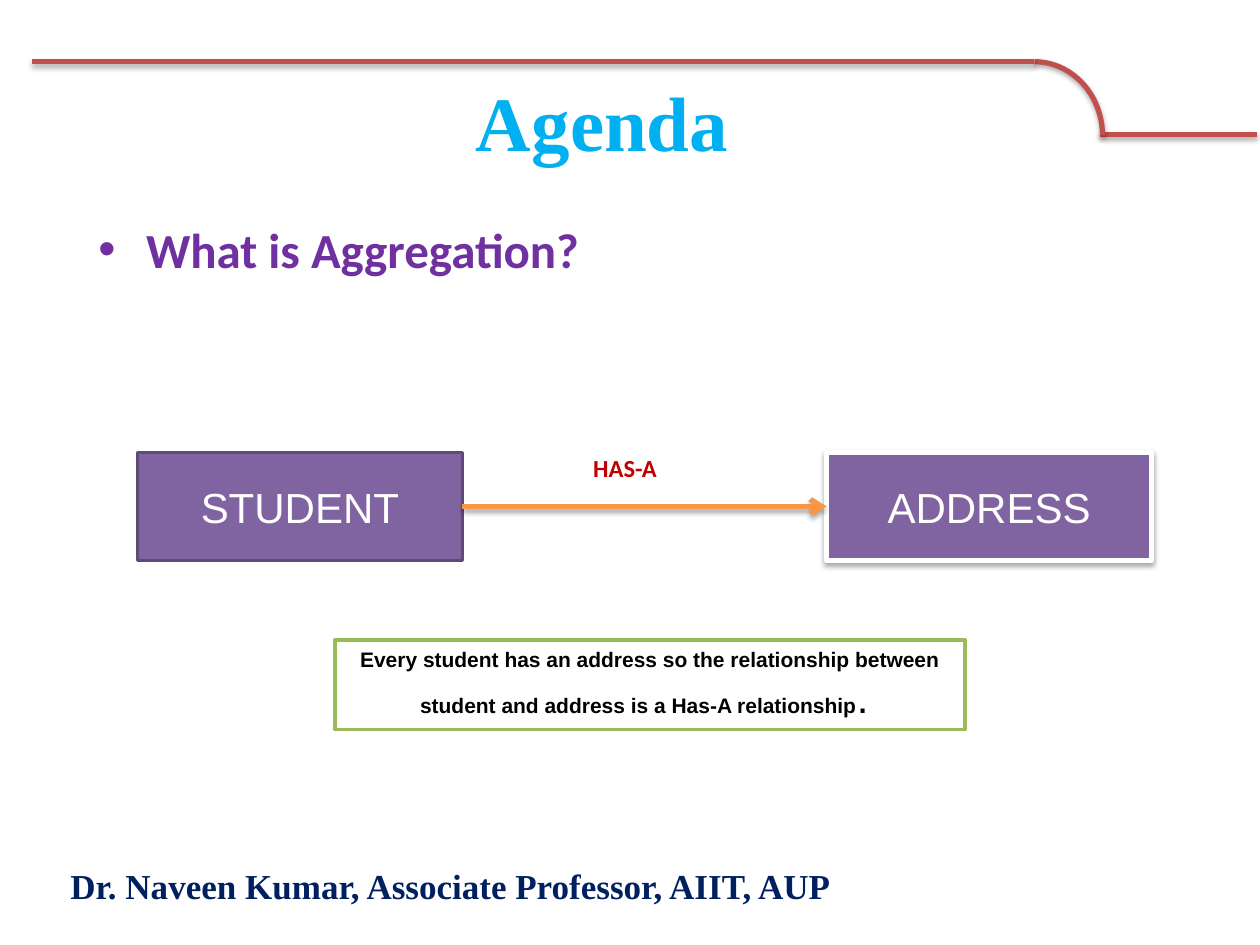
from lxml import etree
from pptx import Presentation
from pptx import util as u
from pptx.dml.color import RGBColor
from pptx.enum import shapes, text
from pptx.oxml.ns import qn

RED = RGBColor(0xC0, 0x50, 0x4D)
SKY = RGBColor(0x00, 0xB0, 0xF0)
VIOLET = RGBColor(0x70, 0x30, 0xA0)
NAVY = RGBColor(0x00, 0x20, 0x60)
PURPLE = RGBColor(0x80, 0x64, 0xA2)
DARK_PURPLE = RGBColor(0x5F, 0x4A, 0x78)
ORANGE = RGBColor(0xF7, 0x96, 0x46)
GREEN = RGBColor(0x9B, 0xBB, 0x59)
CRIMSON = RGBColor(0xC0, 0x00, 0x00)
WHITE = RGBColor(0xFF, 0xFF, 0xFF)
BLACK = RGBColor(0x00, 0x00, 0x00)

SERIF, SANS, BODY = "Times New Roman", "Arial", "Calibri"
CENTER = text.PP_ALIGN.CENTER
TOP, MIDDLE = text.MSO_ANCHOR.TOP, text.MSO_ANCHOR.MIDDLE


class SlideBuilder:
    def __init__(self, slide):
        self.slide = slide

    def place(self, shape, left, top, width, height):
        shape.left, shape.top = u.Inches(left), u.Inches(top)
        shape.width, shape.height = u.Inches(width), u.Inches(height)

    def style_run(self, span, font, size, color, bold=True):
        span.font.name = font
        span.font.size = u.Pt(size)
        span.font.color.rgb = color
        span.font.bold = bold

    def set_words(self, shape, words, font, size, color, bold=True,
                  align=None, anchor=MIDDLE):
        frame = shape.text_frame
        frame.text = words
        frame.vertical_anchor = anchor
        para = frame.paragraphs[0]
        para.alignment = align
        para.space_before = u.Pt(0)
        self.style_run(para.runs[0], font, size, color, bold)
        return para

    def effects(self, shape, shadow):
        """Replace the theme shadow by an explicit one, or by none."""
        effect_list = etree.SubElement(shape.element.spPr, qn("a:effectLst"))
        if shadow:
            outer = etree.SubElement(
                effect_list, qn("a:outerShdw"), blurRad=str(u.Pt(3.1)),
                dist=str(u.Pt(1.8)), dir="5400000", rotWithShape="0")
            black = etree.SubElement(outer, qn("a:srgbClr"), val="000000")
            etree.SubElement(black, qn("a:alpha"), val="35000")

    def outline(self, shape, color, width):
        shape.line.color.rgb = color
        shape.line.width = u.Pt(width)

    def line(self, start, end, color):
        connector = self.slide.shapes.add_connector(
            shapes.MSO_CONNECTOR.STRAIGHT,
            *(u.Inches(value) for value in start + end))
        self.outline(connector, color, 3)
        self.effects(connector, True)
        return connector

    def arrow(self, source, target, color):
        """Join the right side of source to the left side of target."""
        connector = self.line((0, 0), (1, 1), color)
        connector.begin_connect(source, 3)
        connector.end_connect(target, 1)
        stroke = connector.element.spPr.find(qn("a:ln"))
        etree.SubElement(stroke, qn("a:tailEnd"), type="arrow")

    def arc(self, place, color):
        curve = self.slide.shapes.add_shape(
            shapes.MSO_SHAPE.ARC, 0, 0, 0, 0)
        self.place(curve, *place)
        curve.fill.background()
        self.outline(curve, color, 3)
        self.effects(curve, True)

    def box(self, place, fill, border, border_width, shadow=False):
        box = self.slide.shapes.add_shape(
            shapes.MSO_SHAPE.RECTANGLE, 0, 0, 0, 0)
        self.place(box, *place)
        box.fill.solid()
        box.fill.fore_color.rgb = fill
        self.outline(box, border, border_width)
        self.effects(box, shadow)
        return box

    def label(self, place, words, font, size, color, wrap=True,
              anchor=MIDDLE):
        label = self.slide.shapes.add_textbox(0, 0, 0, 0)
        self.place(label, *place)
        label.text_frame.word_wrap = wrap
        self.set_words(label, words, font, size, color, anchor=anchor)

    def title(self, place, words):
        title = self.slide.shapes.title
        self.place(title, *place)
        self.set_words(title, words, SERIF, 44, SKY, align=CENTER)
        title.text_frame.margin_left = u.Inches(0.22)

    def bullet(self, place, words):
        body = self.slide.placeholders[1]
        self.place(body, *place)
        para = self.set_words(body, words, BODY, 28, VIOLET, anchor=TOP)
        properties = para._p.get_or_add_pPr()
        properties.set("marL", str(u.Inches(0.38)))
        properties.set("indent", str(-u.Inches(0.38)))
        etree.SubElement(properties, qn("a:buFont"), typeface=SANS)
        etree.SubElement(properties, qn("a:buChar"), char="•")


def main():
    deck = Presentation()
    deck.slide_width, deck.slide_height = u.Inches(10), u.Inches(7.5)
    page = SlideBuilder(deck.slides.add_slide(deck.slide_layouts[1]))

    page.line((8.73, 1.07), (9.98, 1.07), RED)
    page.arc((7.67, 0.49, 1.08, 1.17), RED)
    page.line((8.21, 0.49), (0.25, 0.49), RED)

    page.title((0.68, 0.54, 8.08, 0.84), "Agenda")
    page.bullet((0.68, 1.69, 8.12, 4.25), "What is Aggregation?")
    page.label((0.46, 6.77, 9.54, 0.52),
               "Dr. Naveen Kumar, Associate Professor, AIIT, AUP",
               SERIF, 20, NAVY)

    student = page.box((1.09, 3.59, 2.58, 0.86), PURPLE, DARK_PURPLE, 2)
    address = page.box((6.56, 3.59, 2.58, 0.86), PURPLE, WHITE, 3,
                       shadow=True)
    for entity, name in ((student, "STUDENT"), (address, "ADDRESS")):
        page.set_words(entity, name, SANS, 24, WHITE, bold=False,
                       align=CENTER)
    page.arrow(student, address, ORANGE)

    note = page.box((2.66, 5.08, 5, 0.71), WHITE, GREEN, 2)
    para = page.set_words(
        note, "Every student has an address so the relationship between "
        "student and address is a Has-A relationship",
        SANS, 12, BLACK, align=CENTER, anchor=TOP)
    full_stop = para.add_run()
    full_stop.text = ". "
    page.style_run(full_stop, SANS, 24, BLACK, bold=False)

    page.label((4.61, 3.55, 0.72, 0.34), "HAS-A", BODY, 14, CRIMSON,
               wrap=False, anchor=TOP)
    deck.save("out.pptx")


if __name__ == "__main__":
    main()
